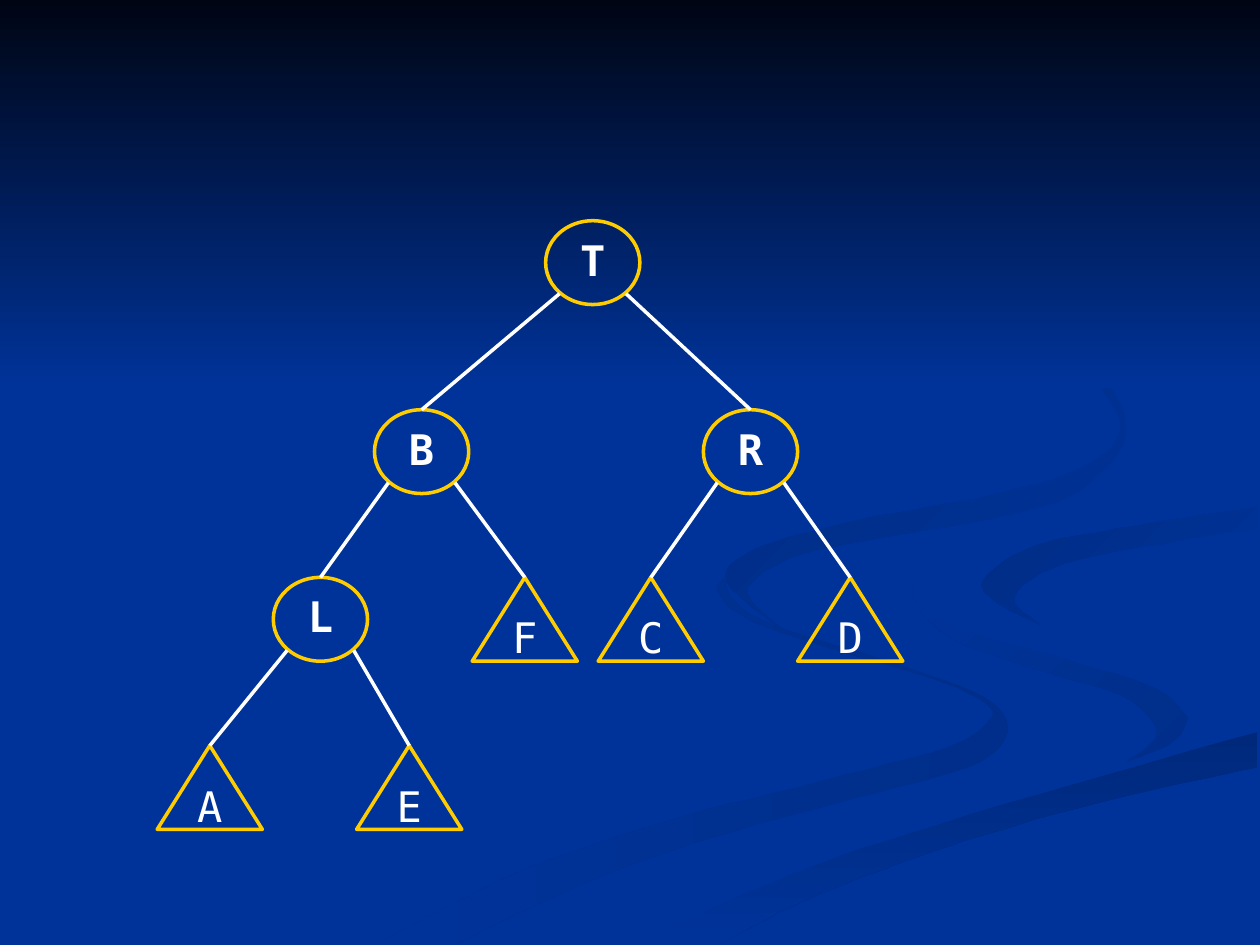
from lxml.etree import SubElement
from pptx import Presentation
from pptx.dml.color import RGBColor
from pptx.enum.shapes import MSO_CONNECTOR as Link, MSO_SHAPE as Kind
from pptx.enum.text import MSO_ANCHOR as Anchor, PP_ALIGN as Align
from pptx.oxml.ns import qn
from pptx.util import Cm, Pt

BLUE, GOLD, WHITE = "003399", "FFCC00", "FFFFFF"
STEPS = 6  # points drawn from one knot of a curve to the next


def tint(fmt, code):
    fmt.solid()
    fmt.fore_color.rgb = RGBColor.from_string(code)


def curve(knots):
    """Points of a smooth (Catmull-Rom) curve through the knots."""
    ends = [knots[0], *knots, knots[-1]]
    dots = []
    for quad in zip(ends, ends[1:], ends[2:], ends[3:]):
        for step in range(STEPS):
            t = step / STEPS
            dots.append(tuple(
                b + t / 2 * (c - a + t * (2 * a - 5 * b + 4 * c - d
                                          + t * (3 * (b - c) + d - a)))
                for a, b, c, d in zip(*quad)))
    return dots + [knots[-1]]


deck = Presentation()
deck.slide_width, deck.slide_height = Cm(25.4), Cm(19.05)
slide = deck.slides.add_slide(deck.slide_layouts[6])
shapes = slide.shapes
tint(slide.background.fill, BLUE)

# Edges of the backdrop swirls: knots on a grid of 1000 by 750 units
unit = Cm(25.4) / 1000
low_in = [(575, 459), (570, 470), (593, 491), (654, 513), (741, 539),
          (783, 559), (783, 574), (749, 594), (652, 620), (539, 649),
          (417, 690), (300, 749)]
low_out = [(361, 749), (466, 700), (564, 665), (676, 634), (769, 609),
           (800, 581), (781, 553), (715, 528), (614, 496), (583, 477),
           (575, 459)]
bend = [(724, 464), (733, 483), (774, 503), (850, 524), (919, 547), (943, 570)]
bend_end = [(943, 570), (932, 589), (894, 605)]
bend_in = [(894, 605), (918, 581), (892, 553), (838, 536), (766, 512),
           (733, 488), (724, 464)]
road_top = [(503, 749), (569, 719), (662, 681), (797, 638), (998, 581)]
road_low = [(998, 609), (861, 640), (752, 672), (649, 710), (571, 749)]
hook_out = [(998, 402), (898, 418), (822, 433), (781, 460), (791, 478),
            (826, 496)]
hook_in = [(826, 496), (805, 474), (843, 448), (936, 429), (998, 420)]
high_out = [(622, 500), (593, 470), (624, 444), (683, 430), (786, 412),
            (855, 391), (894, 344), (864, 291), (762, 233)]
high_in = [(762, 233), (846, 279), (889, 335), (861, 370), (791, 392),
           (676, 414), (597, 437), (577, 462), (622, 500)]

# The plain band fills the room between bend, road and hook
plain_low = bend + [(911, 600), (780, 634), (663, 668), (573, 703), (477, 749)]
plain_mid = [(998, 538), (904, 519)] + hook_out[::-1]
plain_top = [(998, 387), (874, 408), (755, 432), (724, 464)]
sky_top, sky_low = [(0, 0), (1000, 0)], [(1000, 308), (0, 308)]

# Bands from back to front: start colour, end colour, angle, edges in turn
bands = [
    ("002E8A", BLUE, 180, [low_in, low_out]),
    ("002E8A", BLUE, 135, [bend, bend_end, bend_in]),
    ("00297C", BLUE, 270, [road_top, road_low]),
    (BLUE, BLUE, 0, [plain_low, road_top, plain_mid, plain_top]),
    (BLUE, "002C85", 135, [hook_out, hook_in]),
    (BLUE, "002B81", 135, [high_out, high_in]),
    ("000514", BLUE, 270, [sky_top, sky_low]),
]
for first, last, turn, edges in bands:
    dots = [dot for edge in edges for dot in curve(edge)]
    pen = shapes.build_freeform(*dots[0], scale=unit)
    pen.add_line_segments(dots[1:], close=True)
    band = pen.convert_to_shape()
    band.shadow.inherit = False
    band.line.fill.background()
    if first == last:
        tint(band.fill, first)
        continue
    band.fill.gradient()
    band.fill.gradient_angle = turn
    for stop, code in zip(band.fill.gradient_stops, (first, last)):
        stop.color.rgb = RGBColor.from_string(code)

# Tree nodes: name, centre, level; the ones with children are ovals
tops = [4.45, 8.26, 11.64, 15.03]
nodes = [("T", 11.95, 0), ("B", 8.5, 1), ("R", 15.13, 1), ("L", 6.46, 2),
         ("F", 10.58, 2), ("C", 13.12, 2), ("D", 17.14, 2),
         ("A", 4.23, 3), ("E", 8.25, 3)]
kids = {"T": "BR", "B": "LF", "R": "CD", "L": "AE"}
high = 1.69
frame = {"word_wrap": False, "vertical_anchor": Anchor.MIDDLE,
         "margin_left": Cm(0.25), "margin_right": Cm(0.25),
         "margin_top": Cm(0.13), "margin_bottom": Cm(0.13)}
para = {"alignment": Align.CENTER, "line_spacing": 0.9, "space_before": Pt(6)}
font = {"name": "DejaVu Sans Mono", "size": Pt(24)}
made = {}
for name, mid, level in nodes:
    oval = name in kids
    kind, wide = (Kind.OVAL, 1.9) if oval else (Kind.ISOSCELES_TRIANGLE, 2.12)
    node = shapes.add_shape(kind, Cm(mid - wide / 2), Cm(tops[level]),
                            Cm(wide), Cm(high))
    node.shadow.inherit = False
    node.fill.background()
    tint(node.line.fill, GOLD)
    node.line.width = Pt(2)
    line = node.text_frame.paragraphs[0]
    run = line.add_run()
    run.text = name
    run.font.bold = oval
    for item, vals in ((node.text_frame, frame), (line, para),
                       (run.font, font)):
        for key, val in vals.items():
            setattr(item, key, val)
    tint(run.font.fill, WHITE)
    made[name] = node

# Branches: from the lower rim of a parent to the top of each child
rim_x, rim_y = 0.67, 1.47
for name, mid, level in nodes:
    for kid, side in zip(kids.get(name, ""), (-1, 1)):
        branch = shapes.add_connector(
            Link.STRAIGHT, Cm(mid + side * rim_x), Cm(tops[level] + rim_y),
            0, 0)
        branch.end_connect(made[kid], 0)
        tint(branch.line.fill, WHITE)
        branch.line.width = Pt(2)
        SubElement(branch._element.spPr, qn("a:effectLst"))

deck.save("out.pptx")
